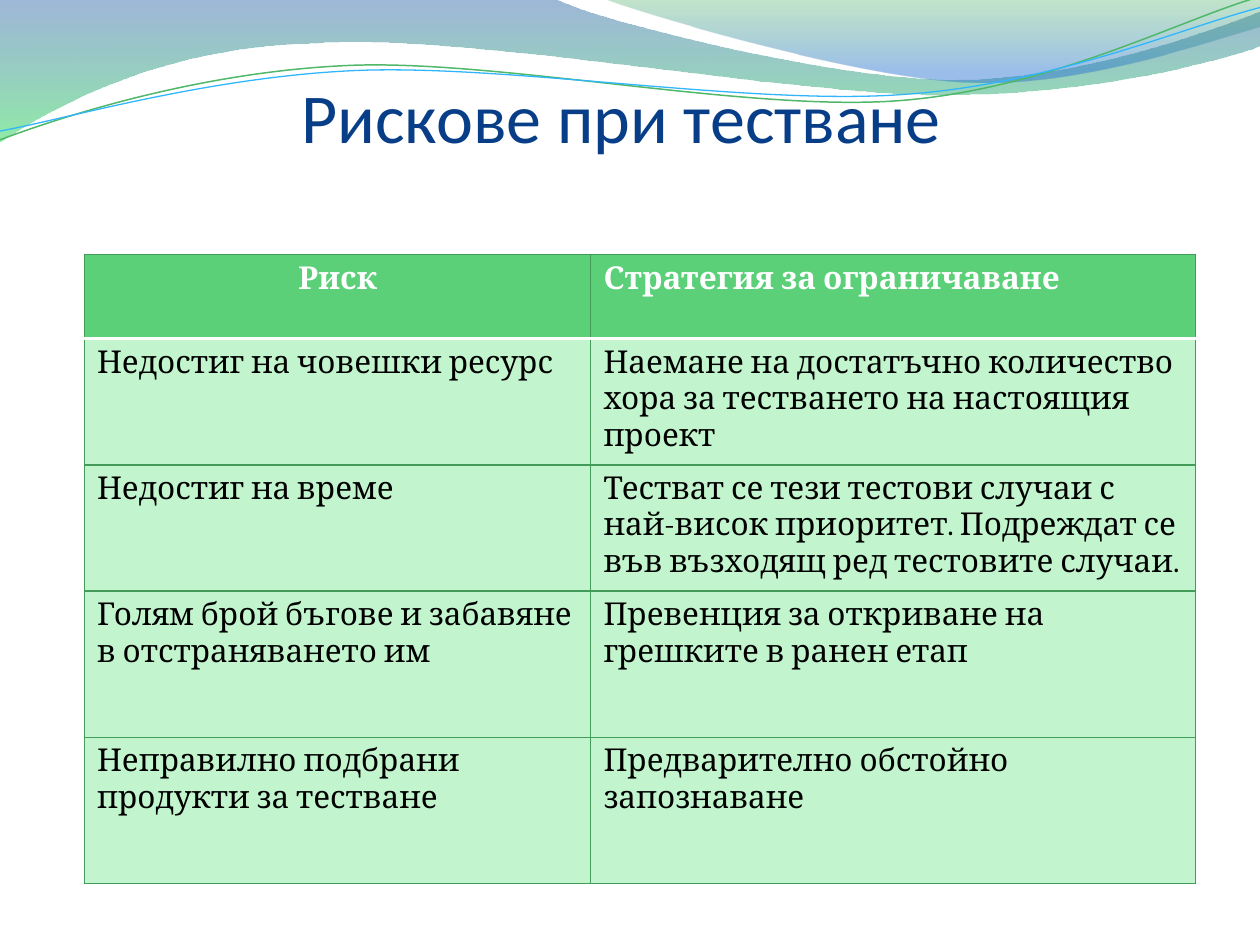
from dataclasses import dataclass
from typing import Optional

from lxml.etree import SubElement
from pptx import Presentation
from pptx.dml.color import RGBColor
from pptx.enum.text import MSO_ANCHOR, PP_ALIGN
from pptx.oxml.ns import qn
from pptx.util import Inches, Pt

NAVY = RGBColor(0x07, 0x3E, 0x87)
BLUE = RGBColor(0x29, 0x60, 0xA7)
BRIGHT_GREEN = RGBColor(0x35, 0xDA, 0x5E)
LEAF = RGBColor(0x36, 0xA7, 0x52)
ROYAL = RGBColor(0x24, 0x72, 0xD3)
LINE_GREEN = RGBColor(0x50, 0xB8, 0x6A)
LINE_BLUE = RGBColor(0x31, 0xB6, 0xFD)
BORDER = RGBColor(0x42, 0x9B, 0x58)
HEADER = RGBColor(0x5B, 0xD0, 0x78)
BODY = RGBColor(0xC2, 0xF5, 0xCD)
WHITE = RGBColor(0xFF, 0xFF, 0xFF)
BLACK = RGBColor(0, 0, 0)


@dataclass
class Stop:
    position: float
    color: RGBColor
    opacity: int


@dataclass
class Wave:
    """Segments hold one point for a straight line or three for a curve."""
    start: tuple
    segments: list
    stops: Optional[list] = None
    line: Optional[RGBColor] = None
    weight: float = 0


@dataclass
class Border:
    color: RGBColor
    weight: float


WAVES = [
    Wave((0, 0), [
        [(4.4, -0.01)],
        [(4.76, 0.17), (6.64, 0.63), (7.58, 0.63)],
        [(8.53, 0.63), (9.58, 0.26), (10, 0.09)],
        [(10.01, 0.36)],
        [(9.83, 0.44), (8.7, 0.76), (7.46, 0.75)],
        [(6.22, 0.75), (3.82, 0.28), (2.57, 0.34)],
        [(1.29, 0.36), (0.46, 0.83), (-0.01, 1.13)],
    ], stops=[Stop(0, BLUE, 45), Stop(1, BRIGHT_GREEN, 55)]),
    Wave((4.79, -0.01), [
        [(5.09, 0.11), (6.82, 0.62), (7.69, 0.65)],
        [(8.56, 0.69), (9.61, 0.32), (10, 0.21)],
        [(10, 0)],
    ], stops=[Stop(0, LEAF, 30), Stop(0.8, ROYAL, 45)]),
    Wave((0, 1.11), [
        [(0.48, 0.93), (1.58, 0.57), (2.77, 0.52)],
        [(3.95, 0.47), (5.93, 0.89), (7.13, 0.8)],
        [(8.33, 0.71), (9.38, 0.15), (9.98, -0.02)],
    ], line=LINE_GREEN, weight=0.85),
    Wave((0, 1.04), [
        [(0.47, 0.96), (1.64, 0.61), (2.83, 0.56)],
        [(4.03, 0.51), (5.97, 0.84), (7.17, 0.75)],
        [(8.36, 0.67), (9.41, 0.21), (10, 0.06)],
    ], line=LINE_BLUE, weight=0.75),
]

COLUMN_WIDTHS = [4.02, 4.8]
ROW_HEIGHTS = [0.67, 0.67, 0.67, 1.16, 1.16]
RISKS = [
    ("Риск", "Стратегия за ограничаване"),
    ("Недостиг на човешки ресурс",
     "Наемане на достатъчно количество хора за тестването на настоящия проект"),
    ("Недостиг на време",
     "Тестват се тези тестови случаи с най-висок приоритет. "
     "Подреждат се във възходящ ред тестовите случаи."),
    ("Голям брой бъгове и забавяне в отстраняването им",
     "Превенция за откриване на грешките в ранен етап"),
    ("Неправилно подбрани продукти за тестване",
     "Предварително обстойно запознаване"),
]


def draw_wave(page, wave: Wave) -> None:
    filled = wave.stops is not None
    points = [(Inches(x), Inches(y)) for segment in wave.segments for x, y in segment]
    builder = page.shapes.build_freeform(Inches(wave.start[0]), Inches(wave.start[1]))
    builder.add_line_segments(points, close=filled)
    shape = builder.convert_to_shape()
    shape.shadow.inherit = False
    bend_segments(shape, wave.segments)
    if filled:
        shape.line.fill.background()
        fill_gradient(shape, wave.stops)
    else:
        shape.fill.background()
        shape.line.color.rgb = wave.line
        shape.line.width = Pt(wave.weight)


def bend_segments(shape, segments: list) -> None:
    steps = iter(list(shape.element.iter(qn("a:lnTo"))))
    for segment in segments:
        first, *others = [next(steps) for _ in segment]
        if others:
            curve = first.makeelement(qn("a:cubicBezTo"))
            first.addprevious(curve)
            for step in (first, *others):
                curve.append(step[0])
                step.getparent().remove(step)


def fill_gradient(shape, stops: list) -> None:
    shape.fill.gradient()
    shape.fill.gradient_angle = 270
    for target, stop in zip(shape.fill.gradient_stops, stops):
        target.position = stop.position
        target.color.rgb = stop.color
    for color, stop in zip(shape.element.spPr.iter(qn("a:srgbClr")), stops):
        SubElement(color, qn("a:alpha"), val=str(stop.opacity * 1000))


def draw_title(page, text: str) -> None:
    box = page.shapes.add_textbox(Inches(0.43), Inches(0), Inches(9), Inches(1.25))
    frame = box.text_frame
    frame.word_wrap = True
    frame.vertical_anchor = MSO_ANCHOR.BOTTOM
    frame.margin_left = frame.margin_right = frame.margin_bottom = 0
    para = frame.paragraphs[0]
    para.text = text
    para.alignment = PP_ALIGN.CENTER
    para.font.name = "Calibri"
    para.font.size = Pt(40)
    para.font.color.rgb = NAVY


def set_borders(cell, top: Border, bottom: Border) -> None:
    side = Border(BORDER, 0.75)
    properties = cell._tc.get_or_add_tcPr()
    for tag, border in (("lnL", side), ("lnR", side), ("lnT", top), ("lnB", bottom)):
        line = SubElement(properties, qn(f"a:{tag}"), w=str(Pt(border.weight)))
        fill = SubElement(line, qn("a:solidFill"))
        SubElement(fill, qn("a:srgbClr"), val=str(border.color))


def draw_cell(cell, text: str, row: int, column: int) -> None:
    thin, divider = Border(BORDER, 0.75), Border(WHITE, 2)
    is_header = row == 0
    set_borders(cell, divider if row == 1 else thin, divider if is_header else thin)
    cell.fill.solid()
    cell.fill.fore_color.rgb = HEADER if is_header else BODY
    para = cell.text_frame.paragraphs[0]
    para.text = text
    para.alignment = PP_ALIGN.CENTER if is_header and column == 0 else PP_ALIGN.LEFT
    para.font.name = "Cambria"
    para.font.size = Pt(18)
    para.font.bold = is_header
    para.font.color.rgb = WHITE if is_header else BLACK


def draw_table(page) -> None:
    frame = page.shapes.add_table(
        len(ROW_HEIGHTS), len(COLUMN_WIDTHS), Inches(0.67), Inches(2.02),
        Inches(sum(COLUMN_WIDTHS)), Inches(sum(ROW_HEIGHTS)))
    table = frame.table
    table.horz_banding = False
    for column, width in zip(table.columns, COLUMN_WIDTHS):
        column.width = Inches(width)
    for row, height in zip(table.rows, ROW_HEIGHTS):
        row.height = Inches(height)
    for row, texts in enumerate(RISKS):
        for column, text in enumerate(texts):
            draw_cell(table.cell(row, column), text, row, column)


def main() -> None:
    deck = Presentation()
    deck.slide_width, deck.slide_height = Inches(10), Inches(7.5)
    page = deck.slides.add_slide(deck.slide_layouts[6])
    for wave in WAVES:
        draw_wave(page, wave)
    draw_title(page, "Рискове при тестване")
    draw_table(page)
    deck.save("out.pptx")


if __name__ == "__main__":
    main()
